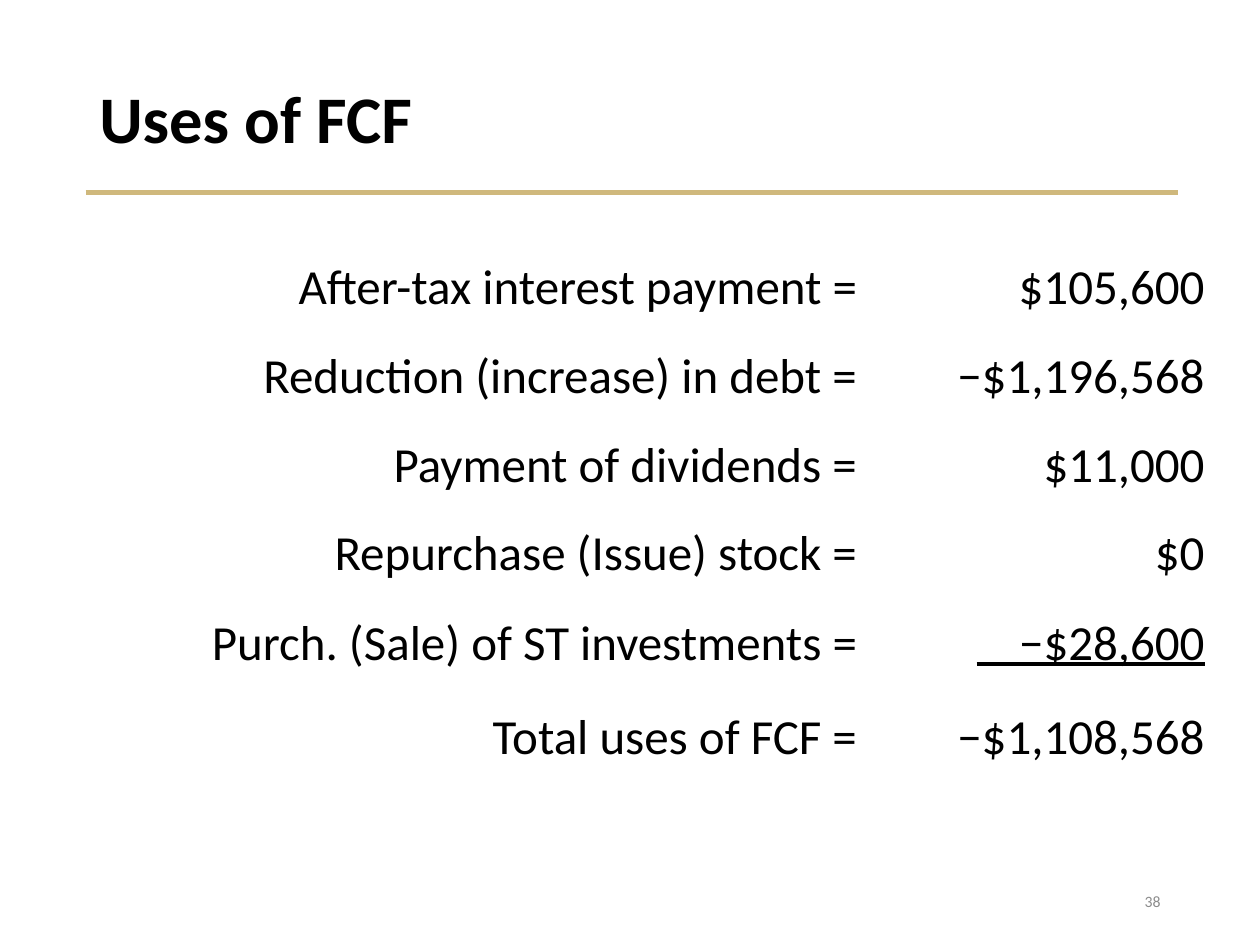
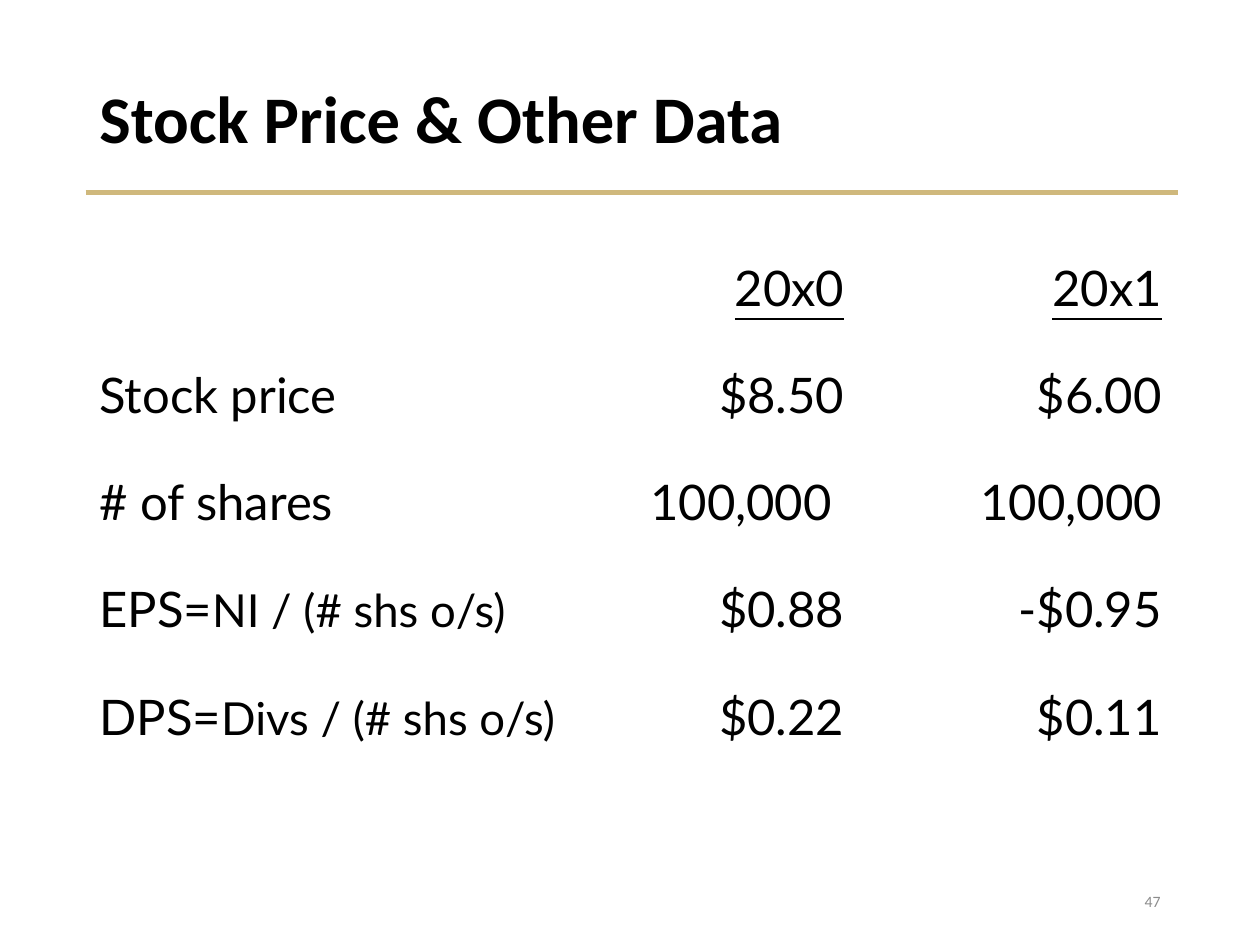
"""Build two finance slides: uses of free cash flow, and stock price data."""
import dataclasses

import pptx
import pptx.dml.color
import pptx.enum.shapes
import pptx.enum.text
import pptx.oxml
import pptx.oxml.ns
import pptx.util

Inches = pptx.util.Inches
LEFT = pptx.enum.text.PP_ALIGN.LEFT
RIGHT = pptx.enum.text.PP_ALIGN.RIGHT
MIDDLE = pptx.enum.text.MSO_ANCHOR.MIDDLE


@dataclasses.dataclass(frozen=True)
class Theme:
    ink: str = "000000"
    gold: str = "CFB87C"
    grey: str = "8C8C8C"
    font: str = "Calibri"
    data_font: str = "Lato"
    title_size: int = 38
    body_size: int = 28
    formula_size: int = 26
    number_size: int = 9


THEME = Theme()

FCF_ROWS = [
    ("After-tax interest payment =", "$105,600"),
    ("Reduction (increase) in debt =", "−$1,196,568"),
    ("Payment of dividends =", "$11,000"),
    ("Repurchase (Issue) stock =", "$0"),
    ("Purch. (Sale) of ST investments =", "−$28,600"),
    ("Total uses of FCF =", "−$1,108,568"),
]

STOCK_ROWS = [
    ("", "", "20x0", "20x1"),
    ("Stock price", "", "$8.50", "$6.00"),
    ("# of shares", "", "100,000", "100,000"),
    ("EPS=", "NI / (# shs o/s)", "$0.88", "-$0.95"),
    ("DPS=", "Divs / (# shs o/s)", "$0.22", "$0.11"),
]


def write(tf, text, size=THEME.body_size, font=THEME.font, color=THEME.ink,
          bold=False, underline=False, align=LEFT, line_spacing=None):
    p = tf.paragraphs[0]
    p.alignment = align
    p.line_spacing = line_spacing
    r = p.add_run()
    r.text = text
    r.font.size = pptx.util.Pt(size)
    r.font.name = font
    r.font.bold = bold
    r.font.underline = underline
    r.font.color.rgb = pptx.dml.color.RGBColor.from_string(color)


def add_text(slide, box, text, **fmt):
    sp = slide.shapes.add_textbox(*map(Inches, box))
    tf = sp.text_frame
    tf.word_wrap = True
    tf.vertical_anchor = MIDDLE
    write(tf, text, **fmt)


def add_rule(slide, left, right, y, color, width):
    line = slide.shapes.add_connector(
        pptx.enum.shapes.MSO_CONNECTOR.STRAIGHT,
        Inches(left), Inches(y), Inches(right), Inches(y))
    line.line.color.rgb = pptx.dml.color.RGBColor.from_string(color)
    line.line.width = pptx.util.Pt(width)
    sp_pr = line._element.spPr
    sp_pr.append(pptx.oxml.parse_xml(
        f"<a:effectLst {pptx.oxml.ns.nsdecls('a')}/>"))


def add_plain_table(slide, left, top, widths, heights):
    table = slide.shapes.add_table(
        len(heights), len(widths), Inches(left), Inches(top),
        Inches(sum(widths)), Inches(sum(heights))).table
    table.first_row = table.horz_banding = False
    for column, width in zip(table.columns, widths):
        column.width = Inches(width)
    for row, height in zip(table.rows, heights):
        row.height = Inches(height)
    for cell in table.iter_cells():
        cell.fill.background()
    return table


def add_slide(prs, title, number):
    slide = prs.slides.add_slide(prs.slide_layouts[6])
    add_rule(slide, 0.68, 9.35, 1.53, THEME.gold, 3)
    add_text(slide, (0.69, 0.4, 8.62, 1.13), title, size=THEME.title_size,
             bold=True, line_spacing=0.9)
    add_text(slide, (7.06, 6.95, 2.25, 0.4), str(number),
             size=THEME.number_size, color=THEME.grey, align=RIGHT)
    return slide


def add_fcf_slide(prs):
    slide = add_slide(prs, "Uses of FCF", 38)
    heights = [0.7, 0.71, 0.7, 0.71, 0.75, 0.7]
    table = add_plain_table(slide, 0.33, 2, [6.57, 2.76], heights)
    for i, row in enumerate(FCF_ROWS):
        for j, text in enumerate(row):
            write(table.cell(i, j).text_frame, text, align=RIGHT)
    add_rule(slide, 7.75, 9.56, 5.27, THEME.ink, 2.25)


def add_stock_slide(prs):
    slide = add_slide(prs, "Stock Price & Other Data", 47)
    heights = [0.85] * 4 + [1.92]
    table = add_plain_table(slide, 0.69, 2, [4.25, 1.86, 2.52], heights)
    for i, (label, formula, *values) in enumerate(STOCK_ROWS):
        tf = table.cell(i, 0).text_frame
        if label:
            write(tf, label, font=THEME.data_font)
        if formula:
            write(tf, formula, font=THEME.data_font, size=THEME.formula_size)
        for j, value in enumerate(values, start=1):
            write(table.cell(i, j).text_frame, value, font=THEME.data_font,
                  align=RIGHT, underline=i == 0)
    table.cell(2, 1).margin_right = Inches(0.2)


def main():
    prs = pptx.Presentation()
    prs.slide_width, prs.slide_height = Inches(10), Inches(7.5)
    add_fcf_slide(prs)
    add_stock_slide(prs)
    prs.save("out.pptx")


if __name__ == "__main__":
    main()
